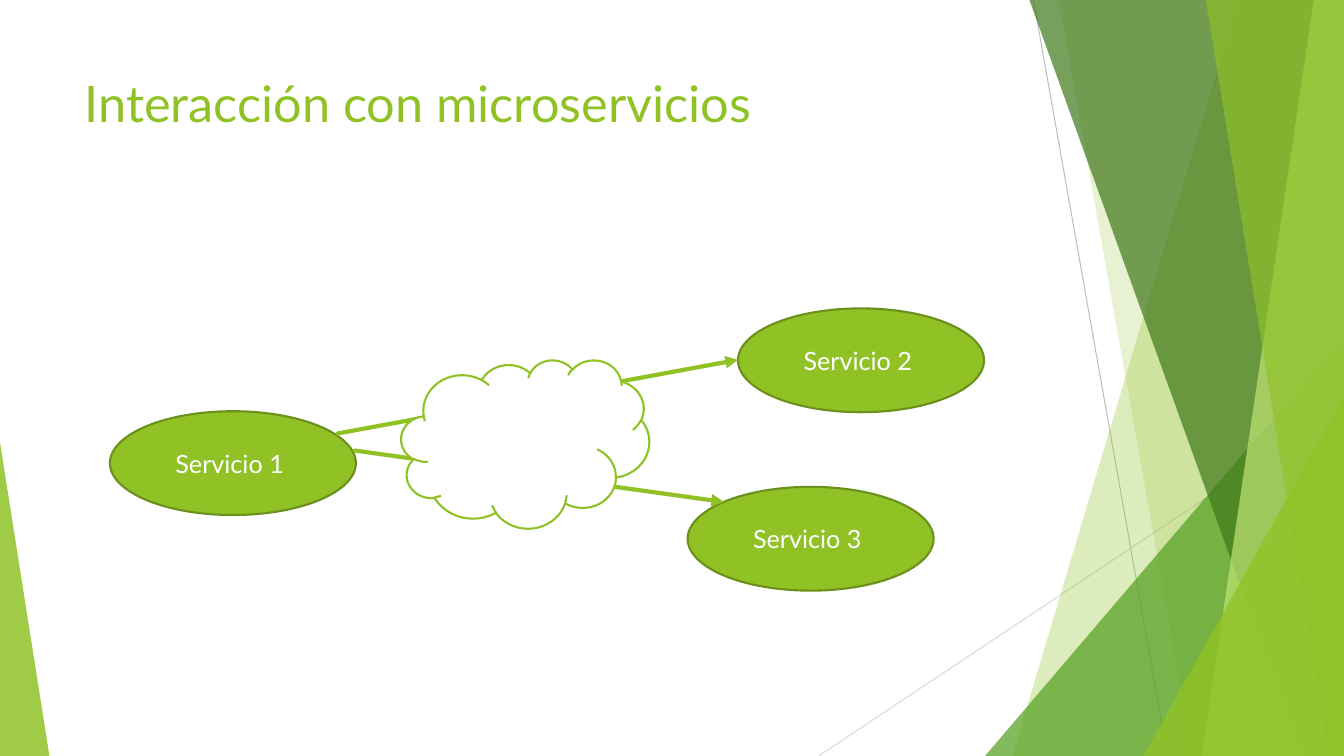
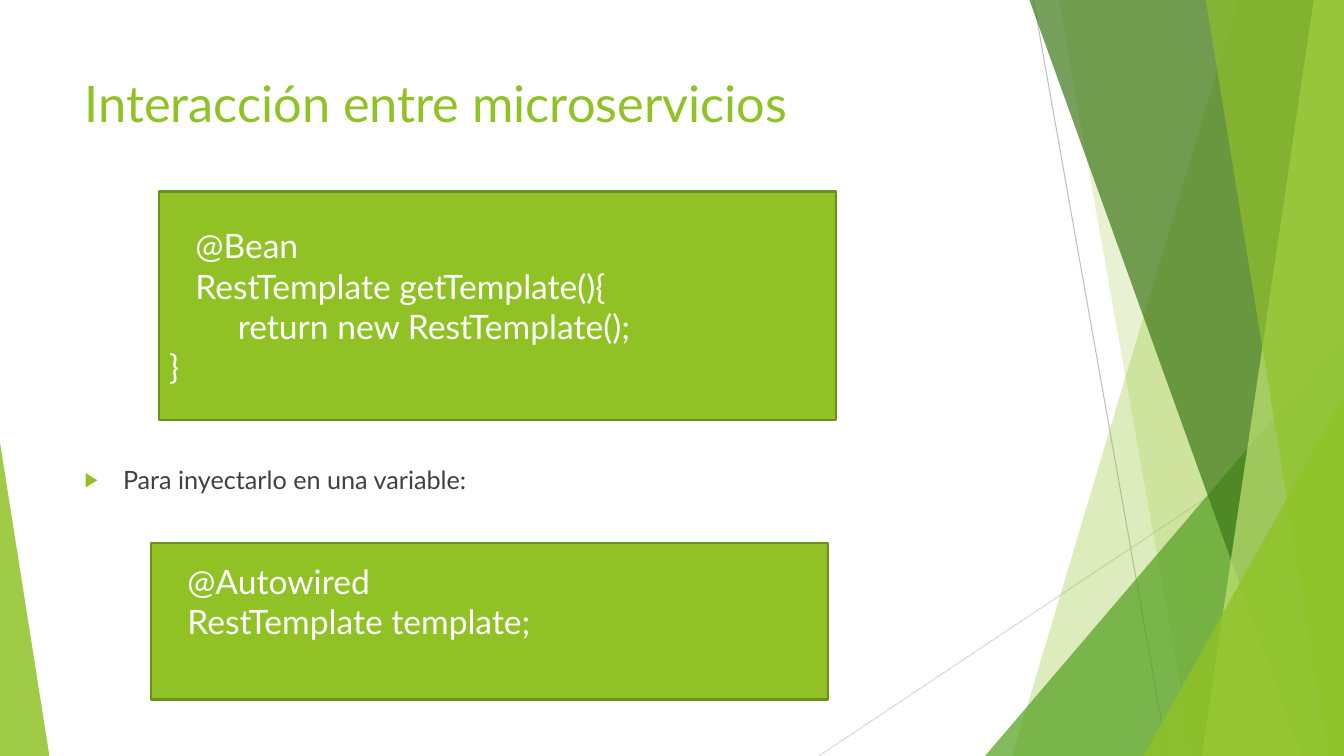
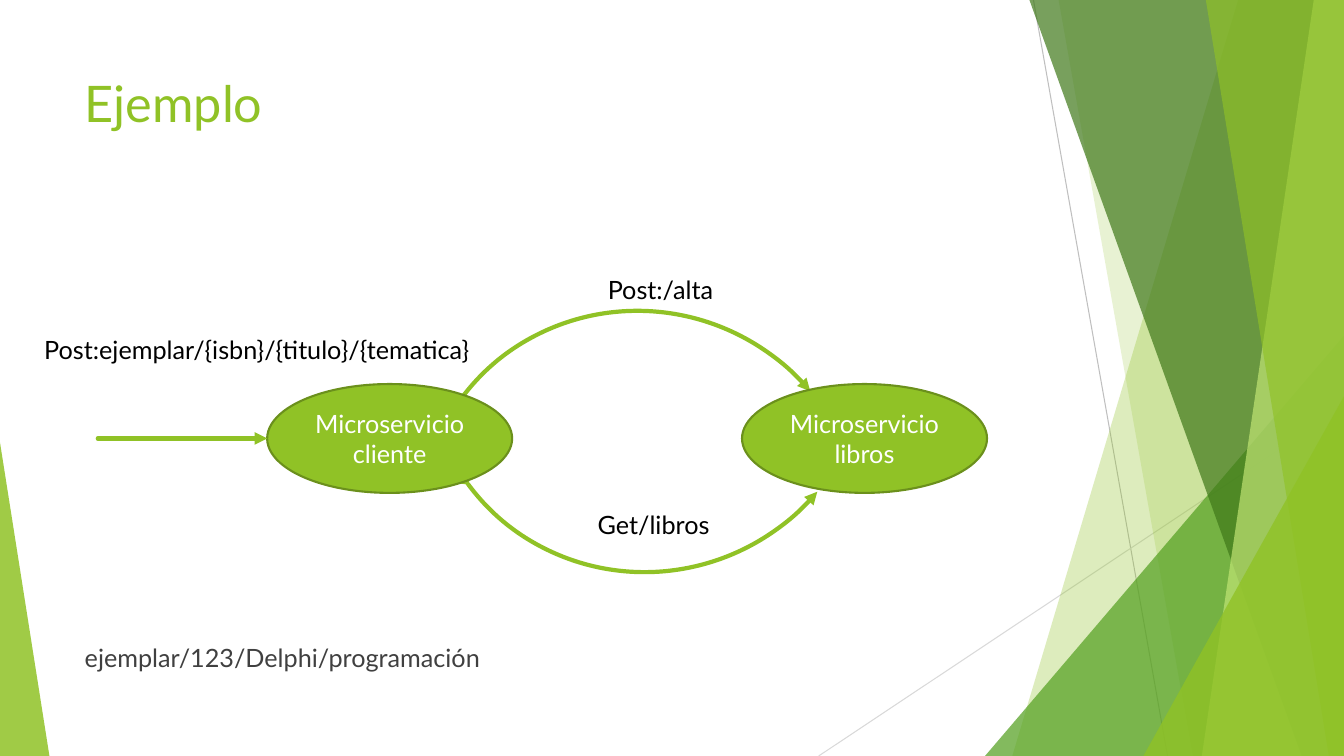
from dataclasses import dataclass

from lxml import etree
from pptx import Presentation
from pptx.dml.color import RGBColor
from pptx.enum import shapes, text
from pptx.oxml import ns
from pptx.util import Inches, Pt


@dataclass(frozen=True)
class Theme:
    font: str = "Lato"
    green: str = "90C226"
    outline: str = "6B901C"
    leaf: str = "54A021"
    forest: str = "3F7819"
    lime: str = "C0E474"
    white: str = "FFFFFF"
    black: str = "000000"
    body: str = "404040"
    rule_dark: str = "BFBFBF"
    rule_light: str = "D9D9D9"
    title_size: int = 36
    code_size: int = 24
    text_size: int = 18
    hairline: float = 0.75
    border: float = 1.5
    arrow: float = 3


THEME = Theme()
WIDTH, HEIGHT = 13.33, 7.5
KIND = shapes.MSO_SHAPE

# Shared decoration, back to front
RULES = [
    ((10.25, 0), (11.58, HEIGHT), THEME.rule_dark),
    ((WIDTH, 4.03), (8.12, HEIGHT), THEME.rule_light),
]
# A band is top-left x, bottom-left x, colour and opacity, and runs to the right
# edge; a triangle is box, apex position, colour and opacity
BANDS = [
    (12.28, 10.04, THEME.green, 30),
    (10.5, 11.83, THEME.green, 20),
    ((9.77, 3.33, 3.56, 4.17), 1, THEME.leaf, 72),
    (10.21, 12.91, THEME.forest, 70),
    (13.03, 11.92, THEME.lime, 70),
    (11.96, 13.18, THEME.green, 65),
    ((11.34, 3.93, 1.99, 3.57), 1, THEME.green, 80),
    ((0, 4.39, 0.49, 3.11), 0, THEME.green, 85),
]


def add_xml(parent, tag, **attributes):
    return etree.SubElement(parent, ns.qn(tag), attributes)


def inches(values):
    return [Inches(value) for value in values]


class Deck:
    """Holds the style and the slide being built."""

    def __init__(self, theme):
        self.theme = theme
        self.presentation = Presentation()
        self.presentation.slide_width = Inches(WIDTH)
        self.presentation.slide_height = Inches(HEIGHT)
        self.slide = None

    # Slides and their shared background
    def new_slide(self, title, has_body=False):
        layout = self.presentation.slide_layouts[1 if has_body else 5]
        self.slide = self.presentation.slides.add_slide(layout)
        self.decorate()
        self.placeholder(0, (0.74, 0.67, 9.4, 1.44), title,
                         self.theme.title_size, self.theme.green)

    def decorate(self):
        group = self.slide.shapes.add_group_shape().shapes
        for start, end, color in RULES:
            self.connector(group, start, end, color, self.theme.hairline)
        for top, bottom, color, opacity in BANDS:
            if isinstance(top, tuple):
                shape = group.add_shape(KIND.ISOSCELES_TRIANGLE, *inches(top))
                shape.adjustments[0] = bottom
            else:
                corners = [(WIDTH, 0), (WIDTH, HEIGHT), (bottom, HEIGHT)]
                builder = group.build_freeform(Inches(top), 0)
                builder.add_line_segments([inches(corner) for corner in corners])
                shape = builder.convert_to_shape()
            self.paint(shape, color)
            solid = shape.element.spPr.find(ns.qn("a:solidFill"))
            add_xml(solid[0], "a:alpha", val=str(opacity * 1000))

    # Styling helpers
    def paint(self, shape, fill=None, line=None, width=THEME.border):
        shape.shadow.inherit = False
        if fill:
            shape.fill.solid()
            shape.fill.fore_color.rgb = RGBColor.from_string(fill)
        else:
            shape.fill.background()
        if line:
            self.stroke(shape, line, width)
        else:
            shape.line.fill.background()

    def stroke(self, shape, color, width):
        shape.line.color.rgb = RGBColor.from_string(color)
        shape.line.width = Pt(width)

    def arrowheads(self, shape, head=None, tail="triangle"):
        line = shape.element.spPr.find(ns.qn("a:ln"))
        line.set("cap", "rnd")
        if head:
            add_xml(line, "a:headEnd", type=head)
        add_xml(line, "a:tailEnd", type=tail)

    def fill_text(self, frame, content, size, color, align=text.PP_ALIGN.LEFT):
        frame.text = content
        frame.word_wrap = True
        for paragraph in frame.paragraphs:
            paragraph.alignment = align
            paragraph.space_before = Pt(0)
            for run in paragraph.runs:
                run.font.name = self.theme.font
                run.font.size = Pt(size)
                run.font.color.rgb = RGBColor.from_string(color)

    # Text elements
    def placeholder(self, index, box, content, size, color):
        shape = self.slide.placeholders[index]
        shape.left, shape.top, shape.width, shape.height = inches(box)
        frame = shape.text_frame
        self.fill_text(frame, content, size, color)
        frame.auto_size = text.MSO_AUTO_SIZE.NONE
        frame.vertical_anchor = text.MSO_ANCHOR.TOP
        return frame

    def body(self, top, content, bullet=False):
        frame = self.placeholder(1, (0.74, top, 9.4, 0.4), content,
                                 self.theme.text_size, self.theme.body)
        for paragraph in frame.paragraphs:
            properties = paragraph._p.get_or_add_pPr()
            indent = Inches(0.38) if bullet else 0
            properties.set("marL", str(indent))
            properties.set("indent", str(-indent))
            if bullet:
                color = add_xml(properties, "a:buClr")
                add_xml(color, "a:srgbClr", val=self.theme.green)
                add_xml(properties, "a:buSzPct", val="80000")
                add_xml(properties, "a:buChar", char="▶")
            else:
                add_xml(properties, "a:buNone")

    def label(self, left, top, width, content):
        box = self.slide.shapes.add_textbox(*inches((left, top, width, 0.4)))
        self.fill_text(box.text_frame, content, self.theme.text_size,
                       self.theme.black)
        box.text_frame.auto_size = text.MSO_AUTO_SIZE.SHAPE_TO_FIT_TEXT

    # Diagram elements
    def ellipse(self, left, top, content, width=2.44, height=1.03):
        shape = self.slide.shapes.add_shape(
            KIND.OVAL, *inches((left, top, width, height)))
        self.paint(shape, self.theme.green, self.theme.outline)
        self.fill_text(shape.text_frame, content, self.theme.text_size,
                       self.theme.white, text.PP_ALIGN.CENTER)

    def cloud(self, *box):
        shape = self.slide.shapes.add_shape(KIND.CLOUD, *inches(box))
        self.paint(shape, self.theme.white, self.theme.green)

    def code(self, box, lines, bottom_inset=0.05):
        """Each line is a pair of left indent and text."""
        shape = self.slide.shapes.add_shape(KIND.RECTANGLE, *inches(box))
        self.paint(shape, self.theme.green, self.theme.outline)
        frame = shape.text_frame
        self.fill_text(frame, "\n".join(line for _, line in lines),
                       self.theme.code_size, self.theme.white)
        frame.vertical_anchor = text.MSO_ANCHOR.MIDDLE
        frame.margin_bottom = Inches(bottom_inset)
        for paragraph, (indent, _) in zip(frame.paragraphs, lines):
            paragraph._p.get_or_add_pPr().set("marL", str(Inches(indent)))

    def connector(self, target, start, end, color, width):
        line = target.add_connector(
            shapes.MSO_CONNECTOR.STRAIGHT, *inches(start + end))
        self.stroke(line, color, width)
        add_xml(line.element.spPr, "a:effectLst")
        return line

    def arrow(self, start, end):
        line = self.connector(self.slide.shapes, start, end,
                              self.theme.green, self.theme.arrow)
        self.arrowheads(line)

    def arc(self, left, top, rotation, flipped=False):
        shape = self.slide.shapes.add_shape(
            KIND.ARC, *inches((left, top, 4.37, 4.44)))
        shape.adjustments[0], shape.adjustments[1] = 162, 9.02
        shape.rotation = rotation
        if flipped:
            shape.element.spPr.find(ns.qn("a:xfrm")).set("flipV", "1")
        self.paint(shape, line=self.theme.green, width=self.theme.arrow)
        self.arrowheads(shape, head="diamond")


def main():
    deck = Deck(THEME)

    # Services that talk through the cloud
    deck.new_slide("Interacción con microservicios")
    deck.ellipse(1.09, 4.08, "Servicio 1 ")
    deck.ellipse(6.82, 4.83, "Servicio 3 ")
    deck.ellipse(7.32, 3.06, "Servicio 2 ")
    deck.arrow((3.35, 4.3), (7.32, 3.57))
    deck.arrow((3.52, 4.47), (7.18, 4.98))
    deck.cloud(3.98, 3.57, 2.46, 1.67)

    # Code for creating and injecting the template
    deck.new_slide("Interacción entre microservicios", has_body=True)
    deck.body(4.56, "Para inyectarlo en una variable:", bullet=True)
    deck.code((1.58, 1.9, 6.71, 2.27), [
        (0.26, "@Bean"),
        (0.26, "RestTemplate getTemplate(){"),
        (0.68, "return new RestTemplate();"),
        (0, "}"),
    ])
    deck.code((1.5, 5.39, 6.71, 1.55), [
        (0.26, "@Autowired"),
        (0.26, "RestTemplate template;"),
    ], bottom_inset=0.45)

    # Example with two microservices
    deck.new_slide("Ejemplo", has_body=True)
    deck.arc(4.24, 1.26, 54.8, flipped=True)
    deck.arc(4.17, 3.06, 305.2)
    deck.body(6.32, "ejemplar/123/Delphi/programación")
    for left, name in ((2.65, "cliente"), (7.36, "libros")):
        deck.ellipse(left, 3.81, "Microservicio\n" + name, 2.43, 1.08)
    deck.arrow((0.97, 4.35), (2.65, 4.35))
    deck.label(0.34, 3.27, 5.09, "Post:ejemplar/{isbn}/{titulo}/{tematica}")
    deck.label(5.93, 2.67, 3.34, "Post:/alta")
    deck.label(5.83, 5, 2.96, "Get/libros")

    deck.presentation.save("out.pptx")


if __name__ == "__main__":
    main()
